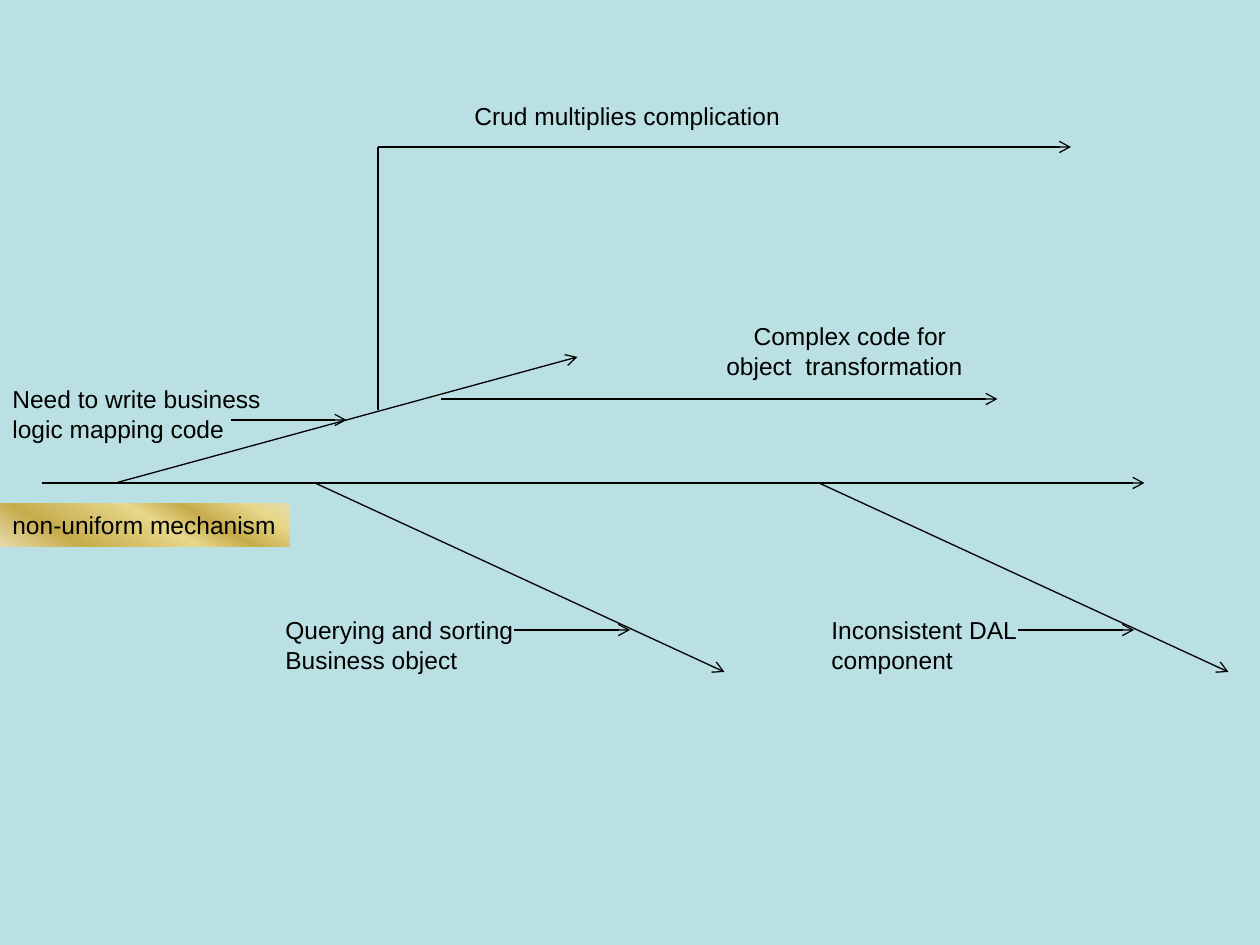
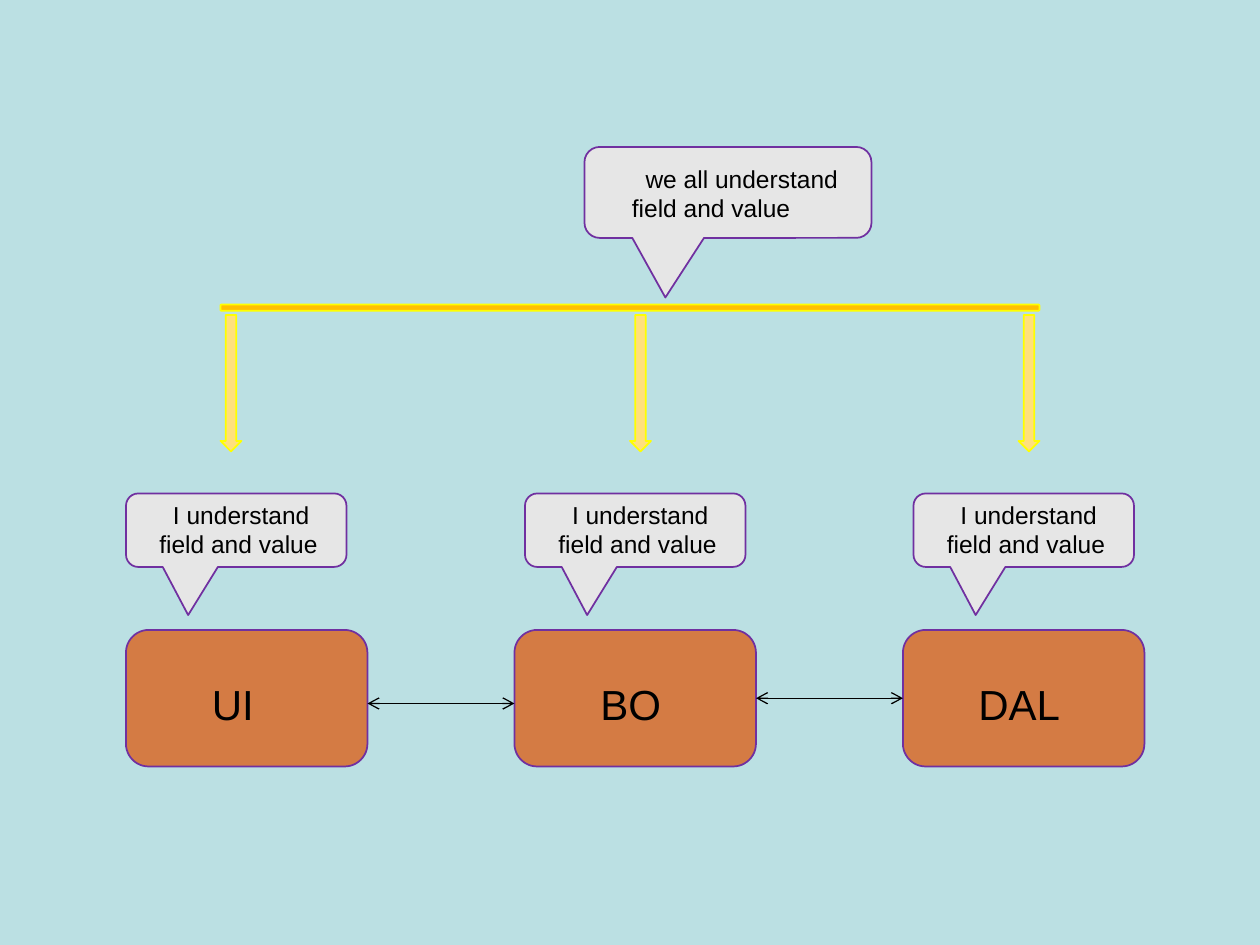
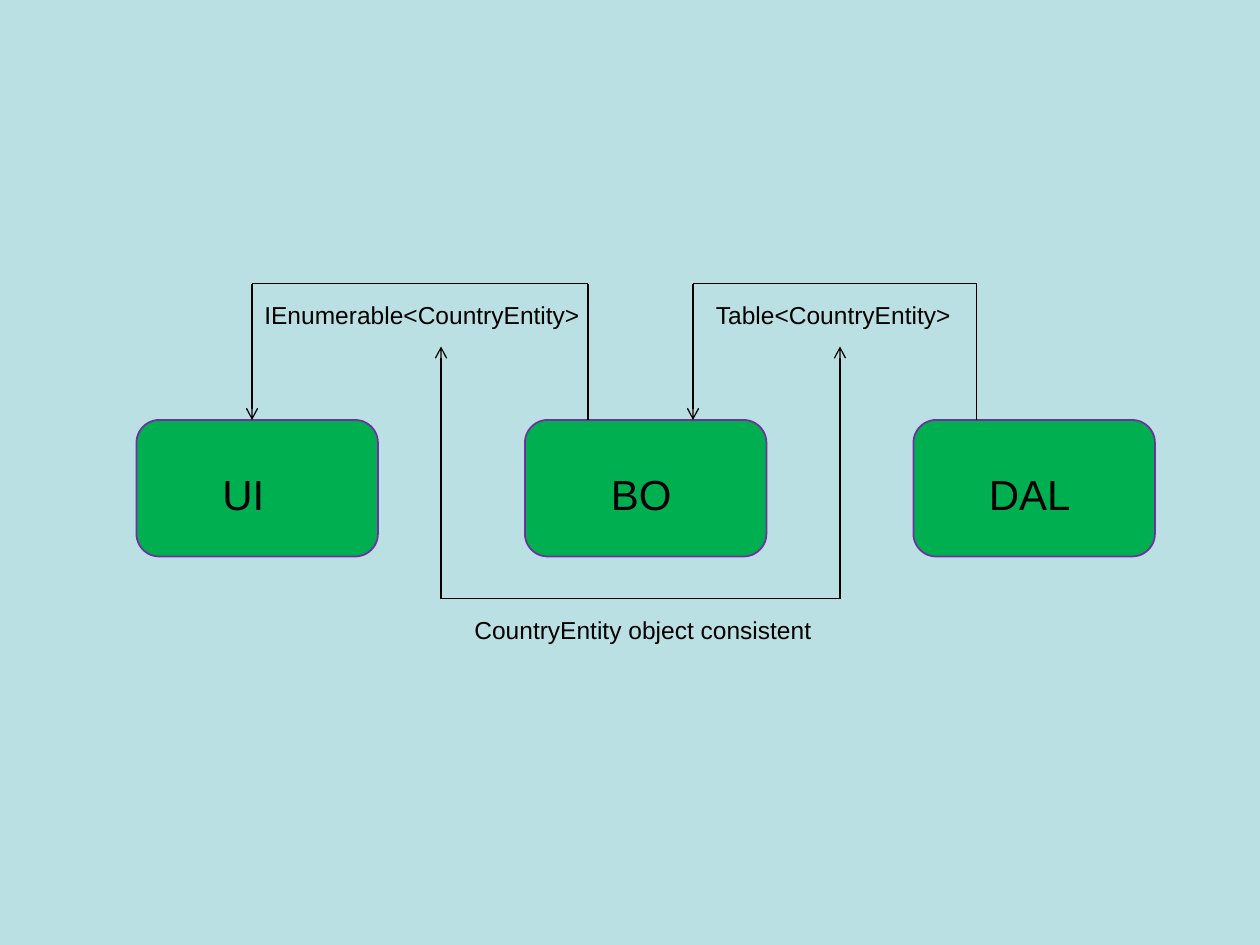
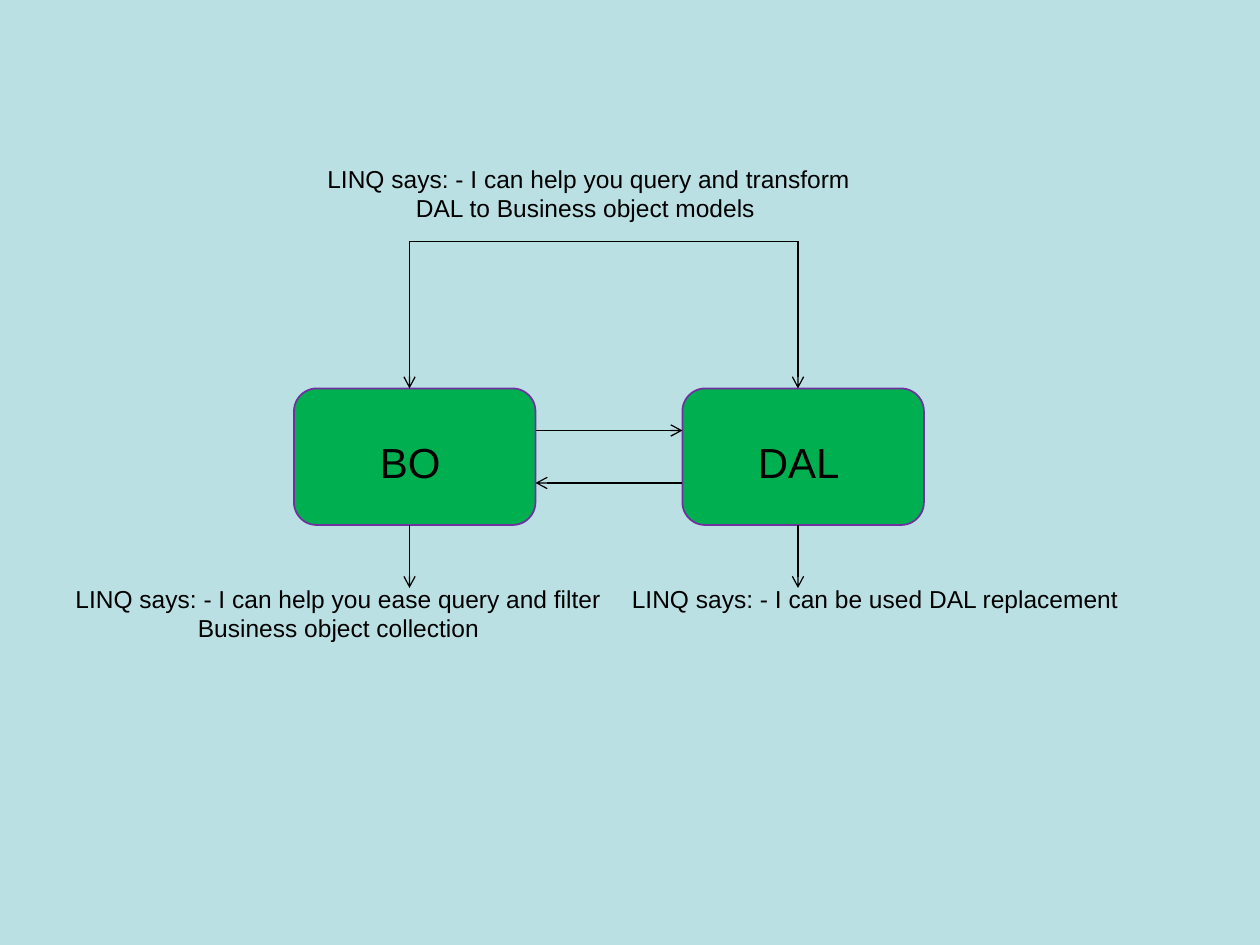
import pptx
import pptx.util
import pptx.dml.color
import pptx.enum.shapes
import pptx.enum.text
import pptx.oxml.ns
import lxml.etree
from dataclasses import dataclass
from typing import Any

Pt = pptx.util.Pt
KIND = pptx.enum.shapes.MSO_SHAPE
qn = pptx.oxml.ns.qn

HUES = {
    "back": "BBE0E3", "ink": "000000", "edge": "7030A0",
    "rust": "D47B44", "green": "00B050", "cloud": "E6E6E6",
    "sand": "FFE07D", "amber": "FFC000", "yellow": "FFFF00",
    "pale": "E6DCAC", "straw": "E6D78A", "gold": "C7AC4C",
}
SHEEN = [(0, "pale"), (12, "straw"), (30, "gold"),
         (45, "straw"), (77, "gold"), (100, "pale")]
TIERS = {"UI": (42, 39), "BO": (42, 50), "DAL": (36, 62)}
BOX_W, BOX_H, STEP = 138, 78, 222


def hue(name):
    return pptx.dml.color.RGBColor.from_string(HUES[name])


def write(shape, text, size=14, first=0, hang=0):
    frame = shape.text_frame
    frame.word_wrap = True
    frame.margin_right = 0
    frame.vertical_anchor = pptx.enum.text.MSO_ANCHOR.TOP
    para = frame.paragraphs[0]
    para.text = text.replace("\n", "\v")
    para.alignment = pptx.enum.text.PP_ALIGN.LEFT
    para.font.name = "Arial"
    para.font.size = Pt(size)
    para.font.color.rgb = hue("ink")
    if first or hang:
        props = para._p.get_or_add_pPr()
        props.set("marL", str(Pt(hang)))
        props.set("indent", str(Pt(first - hang)))


def gild(shape):
    shape.fill.gradient()
    shape.fill.gradient_angle = 240
    stops = shape._element.spPr.find(qn("a:gradFill")).find(qn("a:gsLst"))
    for stop in list(stops):
        stops.remove(stop)
    for pos, name in SHEEN:
        stop = lxml.etree.SubElement(stops, qn("a:gs"), pos=str(pos * 1000))
        lxml.etree.SubElement(stop, qn("a:srgbClr"), val=HUES[name])


@dataclass
class Area:
    page: Any
    x: float
    y: float

    def label(self, x, y, w, h, text, **style):
        box = self.page.shapes.add_textbox(
            Pt(self.x + x), Pt(self.y + y), Pt(w), Pt(h))
        write(box, text, **style)

    def block(self, kind, x, y, w, h, fill=None, edge=None):
        shape = self.page.shapes.add_shape(
            kind, Pt(self.x + x), Pt(self.y + y), Pt(w), Pt(h))
        shape.shadow.inherit = False
        if fill:
            shape.fill.solid()
            shape.fill.fore_color.rgb = hue(fill)
        if edge:
            shape.line.color.rgb = hue(edge)
            shape.line.width = Pt(1)
        else:
            shape.line.fill.background()
        return shape

    def link(self, x1, y1, x2, y2, ends=("tail",)):
        line = self.page.shapes.add_connector(
            pptx.enum.shapes.MSO_CONNECTOR.STRAIGHT,
            Pt(self.x + x1), Pt(self.y + y1),
            Pt(self.x + x2), Pt(self.y + y2))
        line.line.color.rgb = hue("ink")
        line.line.width = Pt(0.75)
        props = line._element.spPr
        for end in ends:
            lxml.etree.SubElement(
                props.find(qn("a:ln")), qn(f"a:{end}End"), type="arrow")
        lxml.etree.SubElement(props, qn("a:effectLst"))

    def bubble(self, x, y, w, h):
        shape = self.block(KIND.ROUNDED_RECTANGULAR_CALLOUT,
                           x, y, w, h, "cloud", "edge")
        for i, value in enumerate((-0.218, 1.155, 0.167)):
            shape.adjustments[i] = value

    def tiers(self, x, y, names, fill):
        for i, name in enumerate(names):
            left = x + i * STEP
            self.block(KIND.ROUNDED_RECTANGLE, left, y, BOX_W, BOX_H,
                       fill, "edge")
            dx, w = TIERS[name]
            self.label(left + dx, y + 24, w, 36, name, size=24)


def causes(area):
    spine = 222
    area.link(66, spine, 330, 150)
    area.link(24, spine, 654, spine)
    area.link(252, 174, 570, 174)
    area.link(216, 30, 612, 30)
    area.link(216, 30, 216, 180, ())
    area.link(132, 186, 198, 186)
    for x in (180, 468):
        area.link(x, spine, x + 234, spine + 108)
        area.link(x + 114, spine + 84, x + 180, spine + 84)
    badge = area.block(KIND.RECTANGLE, 0, 234, 165.6, 24.5)
    gild(badge)
    write(badge, "non-uniform mechanism")
    area.label(468, 294, 125, 41, "Inconsistent DAL\ncomponent")
    area.label(156, 294, 149, 41, "Querying and sorting\nBusiness object")
    area.label(408, 126, 150, 41,
               "Complex code for\nobject  transformation", first=15.6)
    area.label(264, 0, 190, 24.5, "Crud multiplies complication")
    area.label(0, 162, 161, 41, "Need to write business\nlogic mapping code")


def fields(area):
    area.tiers(0, 276, TIERS, "rust")
    both = ("head", "tail")
    area.link(444, 315, 360, 315, both)
    area.link(222, 318, 138, 318, both)
    for x in (0, 228, 450):
        area.bubble(x, 198, 126, 42)
        area.label(x + 12, 198, 105, 41,
                   "I understand\nfield and value", first=7.8)
    area.bubble(262, 0, 164, 52)
    area.label(282, 6, 137, 41,
               "we all understand\nfield and value", first=7.8)
    for x in (54, 288, 510):
        area.block(KIND.DOWN_ARROW, x, 96, 12, BOX_H, "sand", "yellow")
    area.block(KIND.ROUNDED_RECTANGLE, 54, 90, 468, 3.6, "amber", "yellow")


def entity(area):
    area.tiers(0, 78, TIERS, "green")
    for start, end in ((258, 66), (480, 318)):
        area.link(start, 78, start, 0, ())
        area.link(start, 0, end, 0, ())
        area.link(end, 0, end, 78)
    for x in (174, 402):
        area.link(x, 180, x, 36)
    area.link(402, 180, 174, 180, ())
    area.label(324, 6, 149, 24.5, "Table<CountryEntity>")
    area.label(66, 6, 196, 24.5, "IEnumerable<CountryEntity>")
    area.label(186, 186, 208, 24.5, "CountryEntity object consistent")


def helper(area):
    area.tiers(132, 132, ("BO", "DAL"), "green")
    area.link(354, 186, 270, 186)
    area.link(270, 156, 354, 156)
    for x in (198, 420):
        area.link(x, 48, x, 132)
        area.link(x, 210, x, 246)
    area.link(198, 48, 420, 48, ())
    area.label(144, 0, 318, 41,
               "LINQ says: - I can help you query and transform\n"
               "DAL to Business object models", hang=50.6)
    area.label(0, 240, 320, 41,
               "LINQ says: - I can help you ease query and filter\n"
               "Business object collection", hang=70)
    area.label(318, 240, 294, 24.5,
               "LINQ says: - I can be used DAL replacement")


def main():
    deck = pptx.Presentation()
    deck.slide_width, deck.slide_height = Pt(720), Pt(540)
    back = deck.slide_master.background.fill
    back.solid()
    back.fore_color.rgb = hue("back")
    for draw, x, y in ((causes, 0, 54), (fields, 72, 84),
                       (entity, 78, 162), (helper, 36, 90)):
        page = deck.slides.add_slide(deck.slide_layouts[6])
        draw(Area(page, x, y))
    deck.save("out.pptx")


if __name__ == "__main__":
    main()
